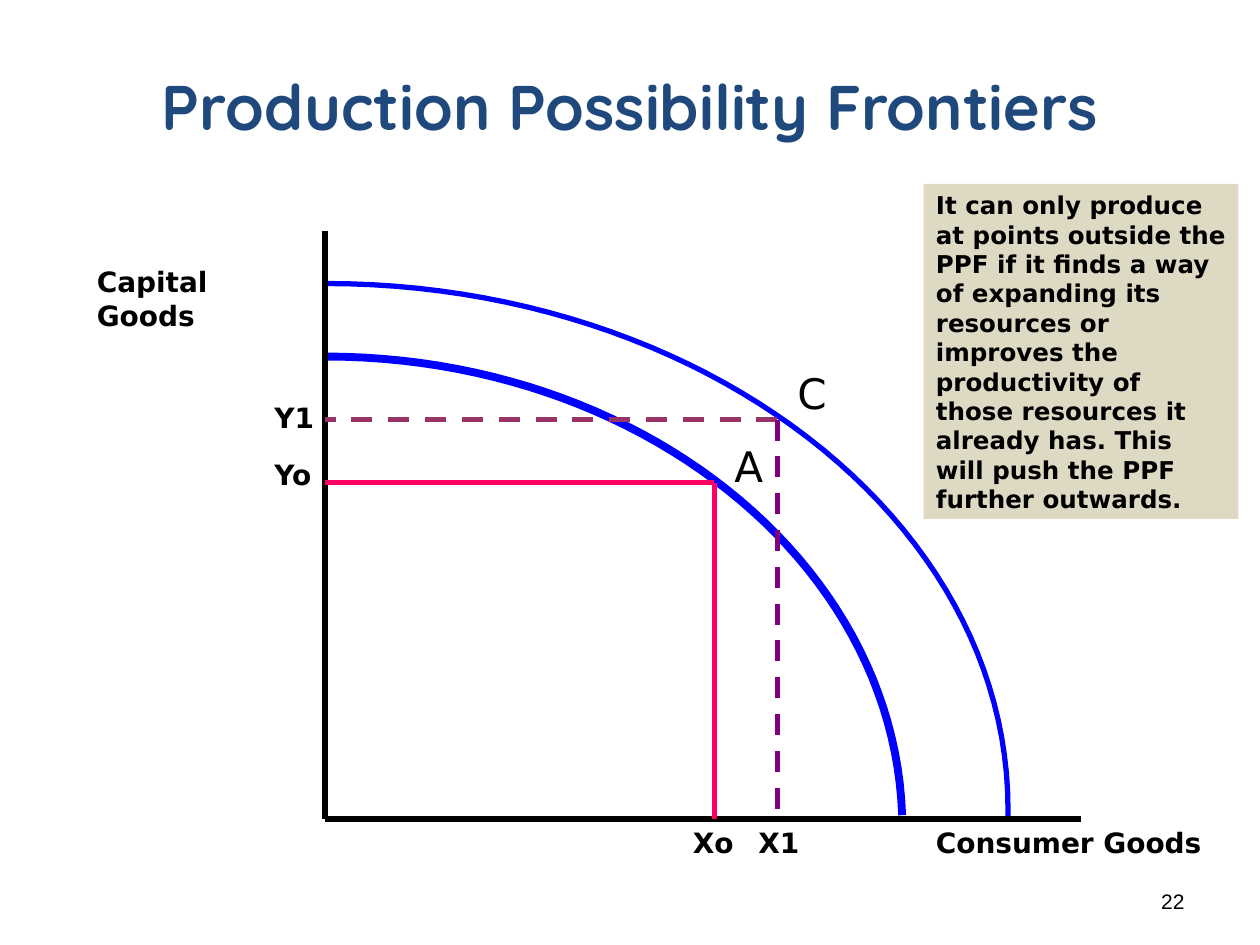
from lxml import etree
from pptx import Presentation
from pptx.dml.color import RGBColor
from pptx.enum import dml, shapes, text
from pptx.oxml.ns import qn
from pptx.util import Inches, Pt


def color(value):
    return RGBColor.from_string(value)


def write(shape, content, align=text.PP_ALIGN.LEFT, **style):
    """Put one formatted paragraph into a shape."""
    font_format = {"name": "DejaVu Sans", "size": 16, "bold": True, "color": "000000"}
    font_format.update(style)
    paragraph = shape.text_frame.paragraphs[0]
    paragraph.text = content
    paragraph.alignment = align
    for run in paragraph.runs:
        run.font.color.rgb = color(font_format["color"])
        run.font.size = Pt(font_format["size"])
        for key in ("name", "bold"):
            setattr(run.font, key, font_format[key])


presentation = Presentation()
presentation.slide_width, presentation.slide_height = Inches(10), Inches(7.5)
slide = presentation.slides.add_slide(presentation.slide_layouts[5])

# Title
title = slide.shapes.title
title_format = {"left": 0.75, "top": 0.21, "width": 8.5, "height": 1.25}
for key, value in title_format.items():
    setattr(title, key, Inches(value))
title.text_frame.vertical_anchor = text.MSO_ANCHOR.MIDDLE
write(title, "Production Possibility Frontiers", text.PP_ALIGN.CENTER,
      name="Quicksand", size=36, color="1F497D")

# Page number
page_number = slide.shapes.add_textbox(Inches(7.17), Inches(6.95), Inches(2.33), Inches(0.4))
page_number.text_frame.word_wrap = True
page_number.text_frame.vertical_anchor = text.MSO_ANCHOR.MIDDLE
write(page_number, "22", text.PP_ALIGN.RIGHT, name="Arial", size=12, bold=False)

# Frontiers: Bezier curves from the vertical to the horizontal axis
origin_x, origin_y = 2.58, 6.5
frontiers = [
    ([(origin_x, 2.83), (5.06, 2.83), (7.09, 4.44), (7.16, 6.47)], [], 4.5),
    ([(origin_x, 2.25), (5.57, 2.25), (8, 4.12), (8, 6.42)], [(8, origin_y)], 3),
]
steps = 48
for controls, tail, width in frontiers:
    points = []
    for step in range(steps + 1):
        t = step / steps
        weights = ((1 - t) ** 3, 3 * t * (1 - t) ** 2, 3 * t ** 2 * (1 - t), t ** 3)
        points.append([sum(w * c for w, c in zip(weights, axis)) for axis in zip(*controls)])
    points = [(Inches(x), Inches(y)) for x, y in points + tail]
    builder = slide.shapes.build_freeform(*points[0])
    builder.add_line_segments(points[1:], close=False)
    frontier = builder.convert_to_shape()
    frontier.shadow.inherit = False
    frontier.fill.background()
    frontier.line.color.rgb = color("0000FF")
    frontier.line.width = Pt(width)

# Axes and guide lines to points A and C
x0, y0, x1, y1 = 5.67, 3.83, 6.17, 3.33
lines = [
    (origin_x, 1.83, origin_x, origin_y, "000000", False),
    (origin_x, origin_y, 8.58, origin_y, "000000", False),
    (origin_x, y0, x0, y0, "FF0066", False),
    (x0, y0, x0, origin_y, "FF0066", False),
    (x1, y1, origin_x, y1, "993366", True),
    (x1, y1, x1, origin_y, "800080", True),
]
for *ends, line_color, dashed in lines:
    connector = slide.shapes.add_connector(
        shapes.MSO_CONNECTOR.STRAIGHT, *[Inches(value) for value in ends])
    connector.line.color.rgb = color(line_color)
    connector.line.width = Pt(3)
    if dashed:
        connector.line.dash_style = dml.MSO_LINE.DASH
    etree.SubElement(connector._element.spPr, qn("a:effectLst"))

# Axis, value and point labels
point_style = {"size": 24, "bold": False}
labels = [
    ("Capital\vGoods", 0.67, 2.05, 1.92, 0.64, {}),
    ("Consumer Goods", 7.33, origin_y, 2.31, 0.37, {}),
    ("Yo", 2.08, 3.58, 0.52, 0.37, {}),
    ("Y1", 2.08, 3.13, 0.52, 0.37, {}),
    ("Xo", 5.4, origin_y, 0.52, 0.37, {}),
    ("X1", 5.92, origin_y, 0.53, 0.37, {}),
    ("A", 5.73, 3.45, 0.43, 0.5, point_style),
    ("C", 6.23, 2.87, 0.43, 0.5, point_style),
]
for content, *box, style in labels:
    label = slide.shapes.add_textbox(*[Inches(value) for value in box])
    label.text_frame.word_wrap = "\v" in content
    label.text_frame.auto_size = text.MSO_AUTO_SIZE.SHAPE_TO_FIT_TEXT
    write(label, content, **style)

# Explanation panel
panel = slide.shapes.add_shape(
    shapes.MSO_SHAPE.RECTANGLE, Inches(7.33), Inches(1.46), Inches(2.5), Inches(2.66))
panel.shadow.inherit = False
panel.fill.solid()
panel.fill.fore_color.rgb = color("DDD9C3")
panel.line.fill.background()
panel_format = {"word_wrap": True, "vertical_anchor": text.MSO_ANCHOR.TOP,
                "auto_size": text.MSO_AUTO_SIZE.SHAPE_TO_FIT_TEXT}
for key, value in panel_format.items():
    setattr(panel.text_frame, key, value)
write(panel, "It can only produce at points outside the PPF if it finds a way of "
      "expanding its resources or improves the productivity of those resources it "
      "already has. This will push the PPF further outwards.", size=14)

presentation.save("out.pptx")
